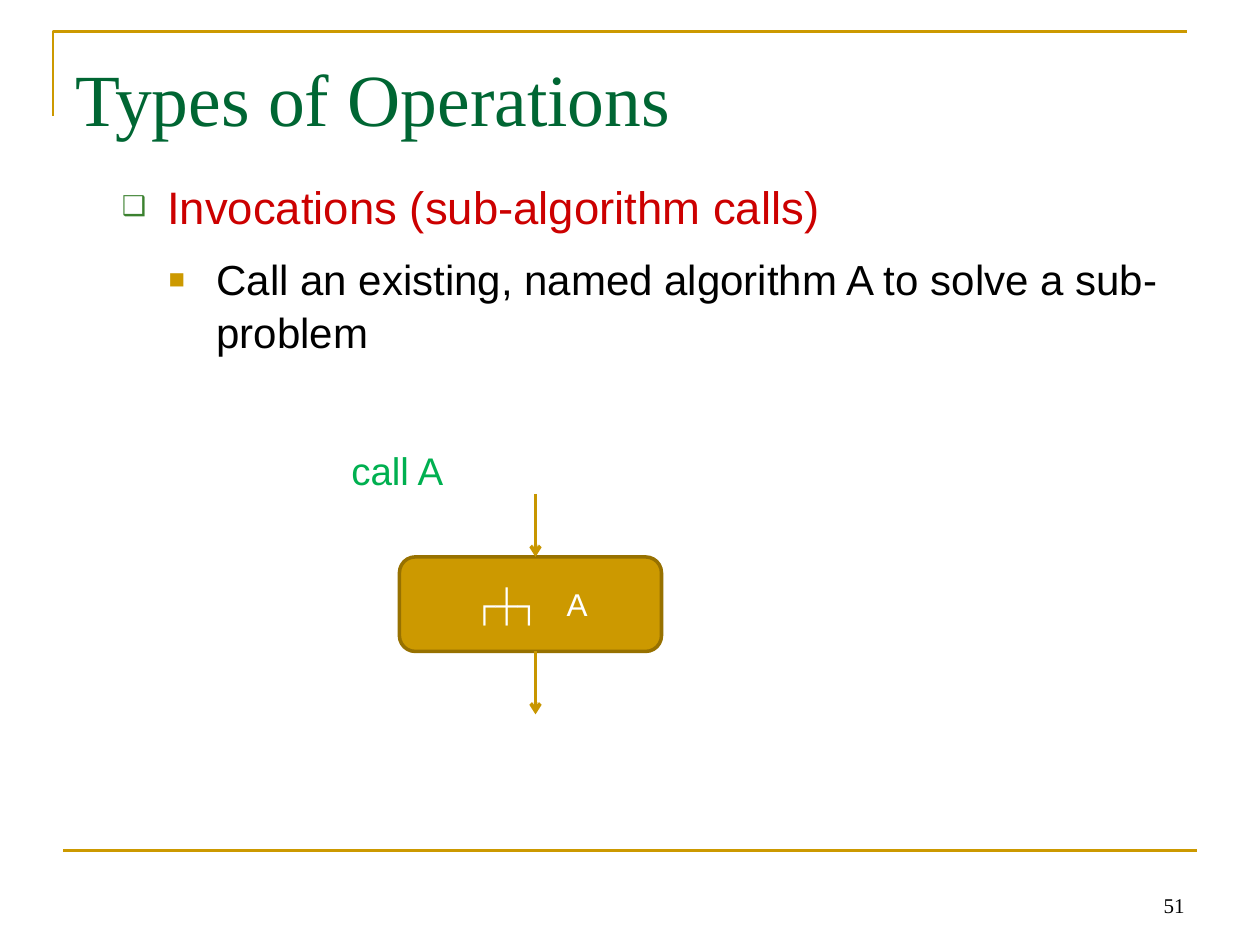
from lxml import etree
from pptx import Presentation
from pptx.dml.color import RGBColor
from pptx.enum import shapes, text
from pptx.oxml import ns
from pptx.util import Inches, Pt


def color(value):
    return RGBColor.from_string(value)


def add_text(left, top, width, height, margin_top=0.05):
    box = page.shapes.add_textbox(Inches(left), Inches(top), Inches(width), Inches(height))
    box.text_frame.word_wrap = True
    box.text_frame.margin_top = Inches(margin_top)
    return box.text_frame


GOLD = "CC9900"
deck = Presentation()
deck.slide_width, deck.slide_height = Inches(10), Inches(7.5)
page = deck.slides.add_slide(deck.slide_layouts[6])

builder = page.shapes.build_freeform(Inches(0.42), Inches(0.92))
builder.add_line_segments([(Inches(0.42), Inches(0.25)), (Inches(9.42), Inches(0.25))], close=False)
corner = builder.convert_to_shape()
corner.shadow.inherit = False
corner.fill.background()
corner.line.color.rgb = color(GOLD)
corner.line.width = Pt(1.5)

number = add_text(7.17, 6.83, 2.33, 0.5)
number.vertical_anchor = text.MSO_ANCHOR.BOTTOM
title = add_text(0.5, 0.3, 9, 1.25, 0.12)
for frame, words, size, tint, align in [
    (number, "51", 12, "000000", text.PP_ALIGN.RIGHT),
    (title, "Types of Operations", 42, "006633", text.PP_ALIGN.LEFT),
]:
    para = frame.paragraphs[0]
    para.text = words
    para.alignment = align
    para.font.name = "Times New Roman"
    para.font.size = Pt(size)
    para.font.color.rgb = color(tint)

body = add_text(0.5, 1.33, 9, 5.37, 0.07)
items = [
    ("Invocations (sub-algorithm calls)", 26, "CC0000", 0.73, -0.36, 0, ("❑", "3B812F", 60)),
    ("Call an existing, named algorithm A to solve a sub-problem", 24, "000000", 1.12, -0.38, 10, ("■", GOLD, 65)),
    ("call A", 22, "00B050", 2.19, 0, 50, None),
]
for index, (words, size, tint, margin, indent, before, bullet) in enumerate(items):
    para = body.paragraphs[0] if index == 0 else body.add_paragraph()
    para.text = words
    para.line_spacing = 1.05
    para.space_before = Pt(before)
    properties = para._p.get_or_add_pPr()
    properties.set("marL", str(Inches(margin)))
    properties.set("indent", str(Inches(indent)))
    if bullet:
        symbol, bullet_tint, percent = bullet
        holder = etree.SubElement(properties, ns.qn("a:buClr"))
        etree.SubElement(holder, ns.qn("a:srgbClr"), val=bullet_tint)
        etree.SubElement(properties, ns.qn("a:buSzPct"), val=str(percent * 1000))
        etree.SubElement(properties, ns.qn("a:buFont"), typeface="Arial")
        etree.SubElement(properties, ns.qn("a:buChar"), char=symbol)
    para.font.name = "Arial"
    para.font.size = Pt(size)
    para.font.color.rgb = color(tint)

call = page.shapes.add_shape(
    shapes.MSO_SHAPE.ROUNDED_RECTANGLE, Inches(3.17), Inches(4.42), Inches(2.08), Inches(0.75)
)
call.shadow.inherit = False
call.fill.solid()
call.fill.fore_color.rgb = color(GOLD)
call.line.color.rgb = color("977100")
call.line.width = Pt(2)
call.text_frame.vertical_anchor = text.MSO_ANCHOR.MIDDLE
para = call.text_frame.paragraphs[0]
para.alignment = text.PP_ALIGN.CENTER
for words, spacing in [("┌┼┐", 0), (" ", 1000), ("A", 0)]:
    span = para.add_run()
    span.text = words
    if spacing:
        span.font._element.set("spc", str(spacing))
para.font.name = "Arial"
para.font.size = Pt(18)
para.font.color.rgb = color("FFFFFF")

for left, top, right, bottom, tint, weight, arrow in [
    (0.5, 6.75, 9.5, 6.75, GOLD, 1.5, False),
    (4.25, 3.92, 4.25, 4.42, "C89600", 2, True),
    (4.25, 5.17, 4.25, 5.67, "C89600", 2, True),
]:
    line = page.shapes.add_connector(
        shapes.MSO_CONNECTOR.STRAIGHT, Inches(left), Inches(top), Inches(right), Inches(bottom)
    )
    line.line.color.rgb = color(tint)
    line.line.width = Pt(weight)
    if arrow:
        etree.SubElement(line.line._get_or_add_ln(), ns.qn("a:tailEnd"), type="arrow")
    etree.SubElement(line._element.spPr, ns.qn("a:effectLst"))

deck.save("out.pptx")
